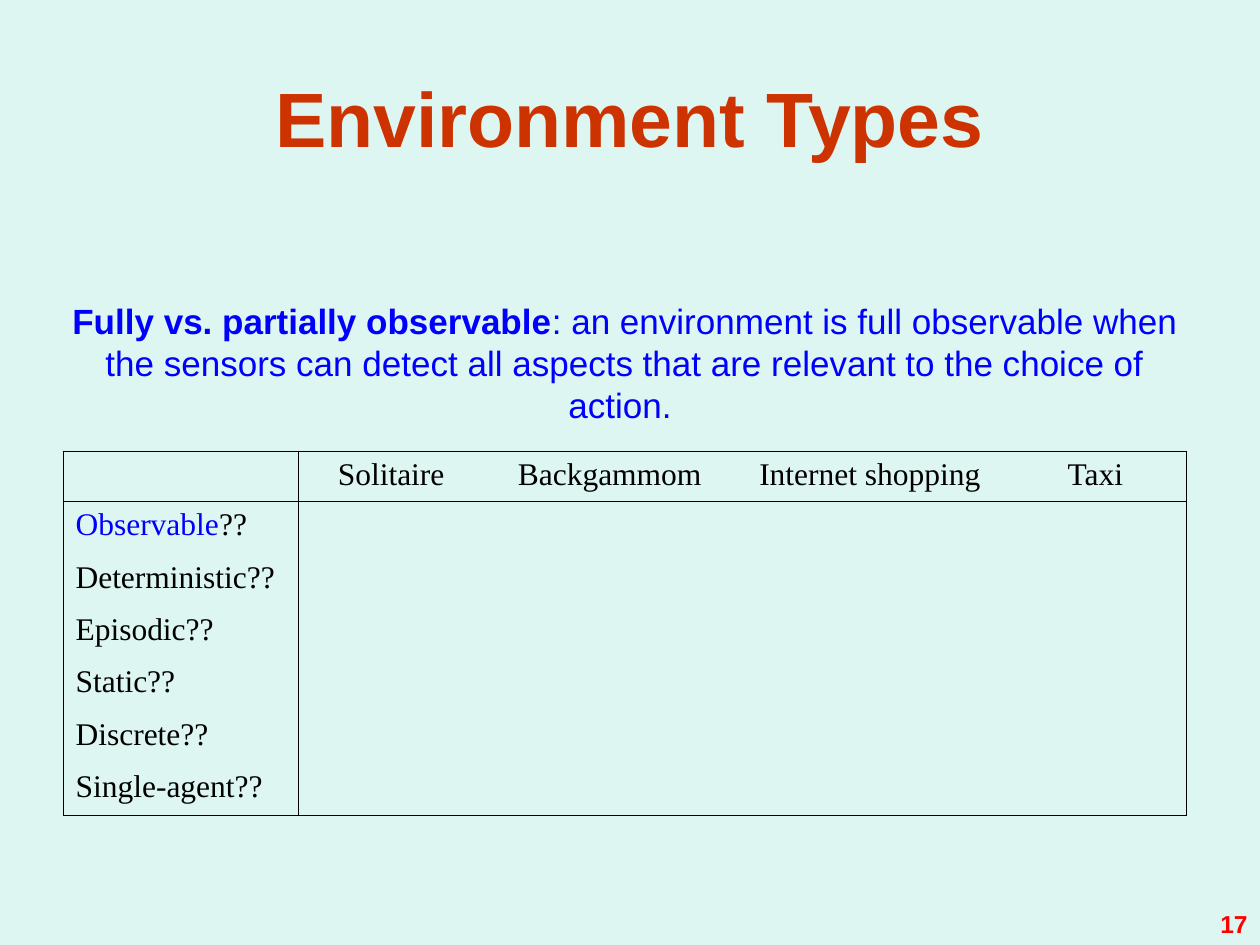
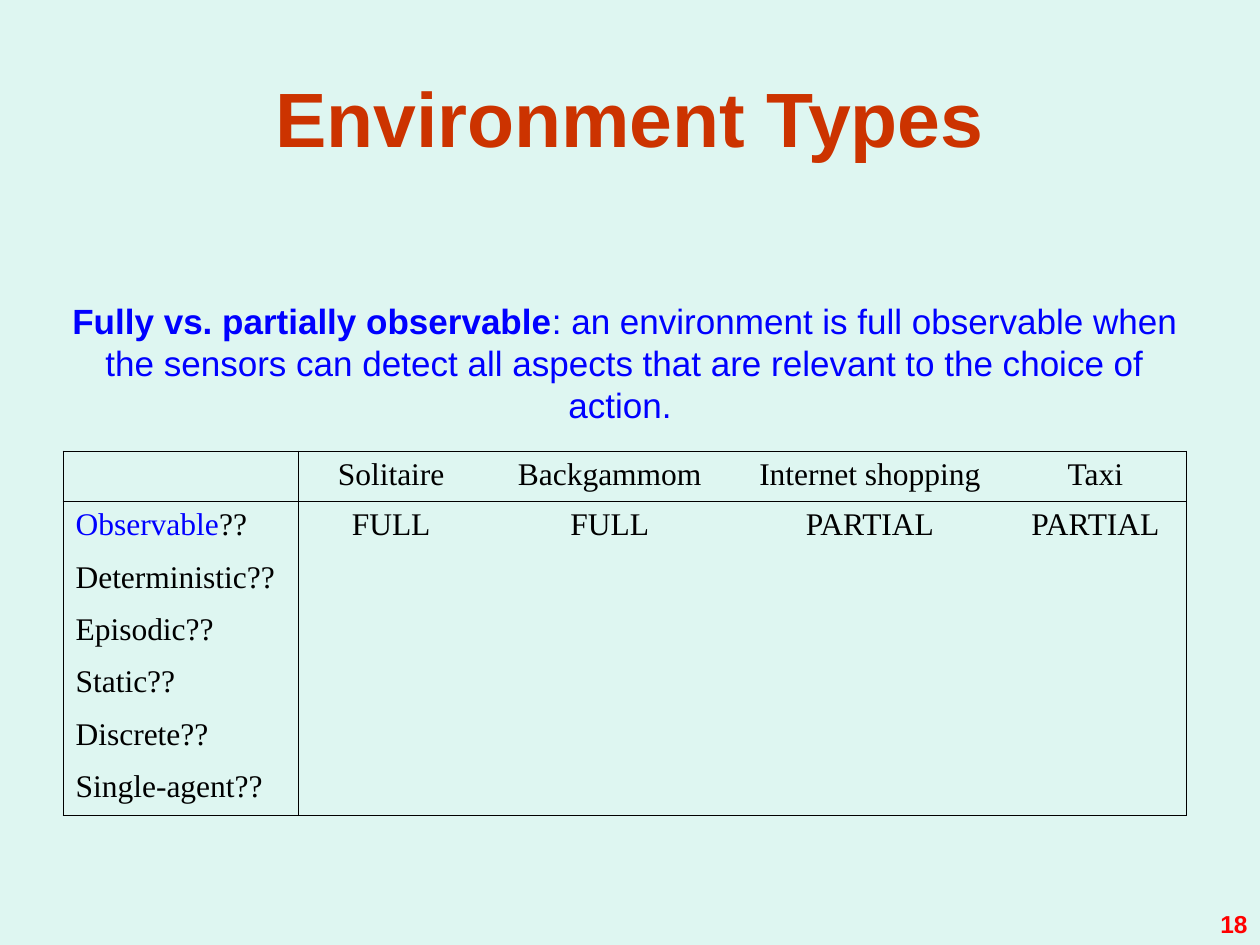
from lxml import etree
from pptx import Presentation
from pptx.dml.color import RGBColor
from pptx.enum import text as t
from pptx.oxml import ns
from pptx.util import Inches, Pt

MINT = RGBColor(0xDE, 0xF6, 0xF1)
RUST = RGBColor(0xCC, 0x33, 0x00)
BLUE = RGBColor(0x00, 0x00, 0xFF)
RED = RGBColor(0xFF, 0x00, 0x00)
BLACK = RGBColor(0x00, 0x00, 0x00)
SANS, SERIF = "Arial", "Times New Roman"

TITLE = "Environment Types"
TERM = "Fully vs. partially observable"
MEANING = (": an environment is full observable when the sensors can detect "
           "all aspects that are relevant to the choice of action. ")
TASKS = ["Solitaire", "Backgammom", "Internet shopping", "Taxi"]
PROPERTIES = ["Observable", "Deterministic", "Episodic", "Static", "Discrete",
              "Single-agent"]
ANSWERS = ["FULL", "FULL", "PARTIAL", "PARTIAL"]

LEFT, CONTENT_WIDTH = 0.5, 8.92
COLUMN_WIDTHS = [1.87, 1.47, 2, 2.13, 1.45]
TABLE_TOP, TABLE_HEIGHT, HEADER_HEIGHT = 3.58, 2.89, 0.4
BORDER_WIDTH = Pt(0.45)


def style(font, name, size, color, bold=False):
    font.name, font.size, font.bold = name, Pt(size), bold
    font.color.rgb = color


def add_title(slide):
    title = slide.shapes.title
    title.left, title.top = Inches(LEFT), Inches(0.3)
    title.width, title.height = Inches(9), Inches(1.25)
    title.text_frame.text = TITLE
    title.text_frame.vertical_anchor = t.MSO_ANCHOR.MIDDLE
    paragraph = title.text_frame.paragraphs[0]
    paragraph.alignment = t.PP_ALIGN.CENTER
    style(paragraph.font, SANS, 44, RUST, bold=True)


def add_text_box(slide, left, top, width, height, alignment):
    """Add a wrapping text box and return its frame and first paragraph."""
    box = slide.shapes.add_textbox(*map(Inches, (left, top, width, height)))
    frame = box.text_frame
    frame.word_wrap = True
    paragraph = frame.paragraphs[0]
    paragraph.alignment = alignment
    return frame, paragraph


def add_definition(slide):
    frame, paragraph = add_text_box(slide, LEFT, 2.33, CONTENT_WIDTH, 1.1,
                                    t.PP_ALIGN.CENTER)
    frame.margin_left = frame.margin_right = 0
    frame.auto_size = t.MSO_AUTO_SIZE.SHAPE_TO_FIT_TEXT
    for words, bold in ((TERM, True), (MEANING, False)):
        run = paragraph.add_run()
        run.text = words
        style(run.font, SANS, 20, BLUE, bold)


def add_page_number(slide, number):
    frame, paragraph = add_text_box(slide, 7.67, 6.98, 2.33, 0.52,
                                    t.PP_ALIGN.RIGHT)
    frame.vertical_anchor = t.MSO_ANCHOR.BOTTOM
    paragraph.text = str(number)
    style(paragraph.font, SANS, 14, RED, bold=True)


def set_borders(cell, visible):
    """Draw the cell sides named in visible (L, R, T, B), clear the others."""
    properties = cell._tc.get_or_add_tcPr()
    for side in "LRTB":
        line = etree.SubElement(properties, ns.qn(f"a:ln{side}"),
                                w=str(int(BORDER_WIDTH)))
        if side in visible:
            fill = etree.SubElement(line, ns.qn("a:solidFill"))
            etree.SubElement(fill, ns.qn("a:srgbClr"), val=str(BLACK))
        else:
            etree.SubElement(line, ns.qn("a:noFill"))


def visible_sides(row, column):
    """Frame the table, its header row and its first column."""
    last_row, last_column = len(PROPERTIES), len(TASKS)
    rules = {"L": column <= 1, "R": column in (0, last_column),
             "T": row <= 1, "B": row in (0, last_row)}
    return [side for side, drawn in rules.items() if drawn]


def fill_cell(cell, words, row, column):
    paragraph = cell.text_frame.paragraphs[0]
    paragraph.alignment = t.PP_ALIGN.CENTER if column else t.PP_ALIGN.LEFT
    style(paragraph.font, SERIF, 18, BLACK)
    if words:
        paragraph.add_run().text = words
    if row and not column:
        paragraph.add_run().text = "??"
        if row == 1:  # the property under discussion
            paragraph.runs[0].font.color.rgb = BLUE
    set_borders(cell, visible_sides(row, column))
    cell.fill.background()


def add_property_table(slide, answers):
    blank = [""] * len(TASKS)
    contents = [["", *TASKS]]
    for index, name in enumerate(PROPERTIES):
        contents.append([name, *(blank if index else answers or blank)])

    table = slide.shapes.add_table(
        len(contents), len(COLUMN_WIDTHS), Inches(LEFT), Inches(TABLE_TOP),
        Inches(CONTENT_WIDTH), Inches(TABLE_HEIGHT)).table
    table.first_row = table.horz_banding = False
    for column, width in zip(table.columns, COLUMN_WIDTHS):
        column.width = Inches(width)
    body_height = (TABLE_HEIGHT - HEADER_HEIGHT) / len(PROPERTIES)
    for index, row in enumerate(table.rows):
        row.height = Inches(body_height if index else HEADER_HEIGHT)

    for row, line in enumerate(contents):
        for column, words in enumerate(line):
            fill_cell(table.cell(row, column), words, row, column)


def add_environment_slide(presentation, number, answers=None):
    slide = presentation.slides.add_slide(presentation.slide_layouts[5])
    add_title(slide)
    add_property_table(slide, answers)
    add_definition(slide)
    add_page_number(slide, number)


def main():
    presentation = Presentation()
    presentation.slide_width = Inches(10)
    presentation.slide_height = Inches(7.5)

    # Shared background
    background = presentation.slide_master.background.fill
    background.solid()
    background.fore_color.rgb = MINT

    # The question, then its answers
    add_environment_slide(presentation, 17)
    add_environment_slide(presentation, 18, ANSWERS)
    presentation.save("out.pptx")


if __name__ == "__main__":
    main()
